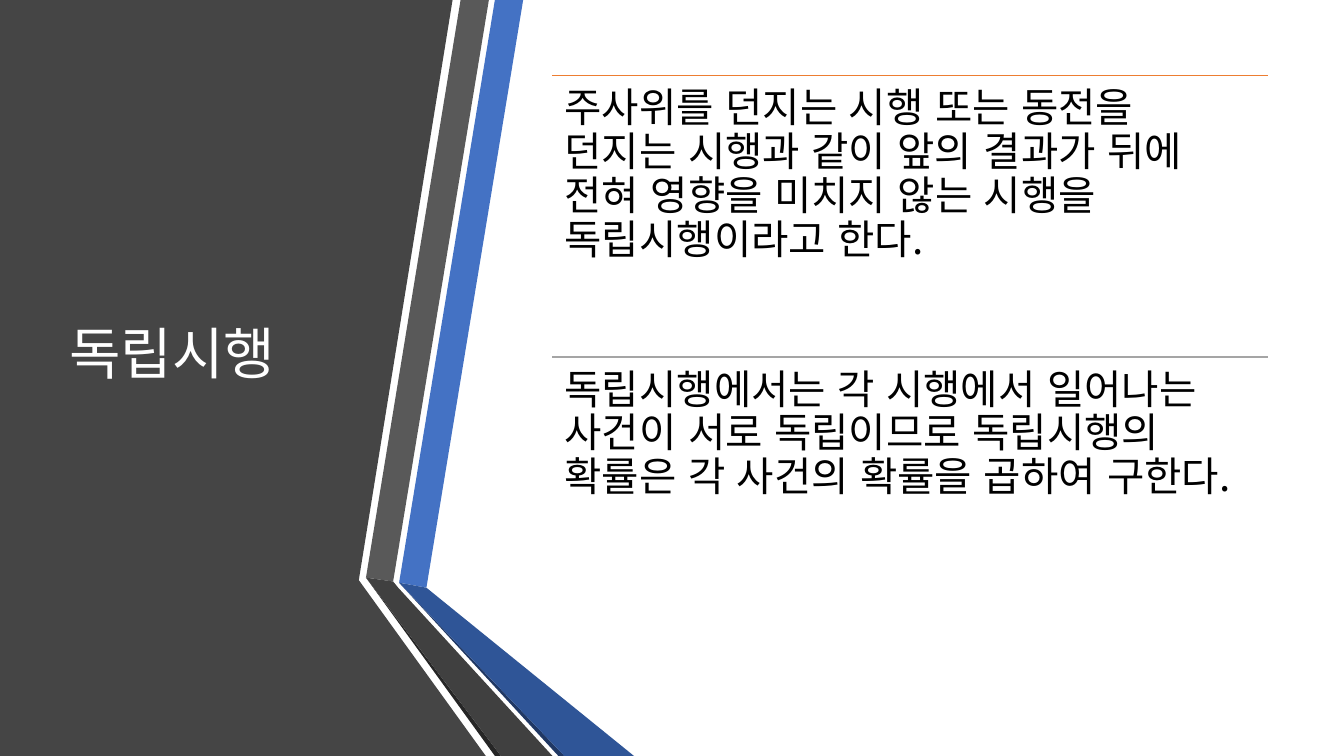
import pptx
import pptx.dml.color
import pptx.enum.lang
import pptx.enum.shapes
import pptx.enum.text
import pptx.oxml
import pptx.oxml.ns
import pptx.util
from lxml import etree

Pt = pptx.util.Pt
RGBColor = pptx.dml.color.RGBColor
ALIGN = pptx.enum.text.PP_ALIGN
ANCHOR = pptx.enum.text.MSO_ANCHOR
qn = pptx.oxml.ns.qn

FONT = "Noto Sans CJK KR"
WHITE = RGBColor(0xFF, 0xFF, 0xFF)
BLACK = RGBColor(0x00, 0x00, 0x00)
PANEL = RGBColor(0x45, 0x45, 0x45)
BLUE = RGBColor(0x44, 0x72, 0xC4)
DEEP_BLUE = RGBColor(0x2F, 0x55, 0x97)
NAVY = RGBColor(0x20, 0x38, 0x64)
GREY = RGBColor(0x59, 0x59, 0x59)
DARK_GREY = RGBColor(0x40, 0x40, 0x40)
CHARCOAL = RGBColor(0x26, 0x26, 0x26)
ORANGE = RGBColor(0xED, 0x7D, 0x31)
SILVER = RGBColor(0xA5, 0xA5, 0xA5)

WIDTH, HEIGHT = 960, 540
TITLE = "독립시행"
STATEMENTS = [
    ("주사위를 던지는 시행 또는 동전을 던지는 시행과 같이 앞의 결과가 뒤에 "
     "전혀 영향을 미치지 않는 시행을 독립시행이라고 한다.", ORANGE),
    ("독립시행에서는 각 시행에서 일어나는 사건이 서로 독립이므로 독립시행의 "
     "확률은 각 사건의 확률을 곱하여 구한다.", SILVER),
]

# Corners where the folded ribbons bend
GREY_BEND = (261.4, 412.6)
GREY_INNER = (280.8, 415.4)
BLUE_BEND = (285.1, 416.2)
BLUE_INNER = (304.6, 419.8)


def set_text(tf, text, size, color):
    tf.word_wrap = True
    tf.auto_size = pptx.enum.text.MSO_AUTO_SIZE.NONE
    p = tf.paragraphs[0]
    p.text = text
    p.alignment = ALIGN.LEFT
    p.line_spacing = 0.9
    p.font.size = Pt(size)
    p.font.color.rgb = color
    p.font.name = FONT
    p.font.language_id = pptx.enum.lang.MSO_LANGUAGE_ID.KOREAN
    # East Asian typeface and kerning for the Korean text
    props = p._p.pPr.find(qn("a:defRPr"))
    props.set("kern", "1200")
    etree.SubElement(props, qn("a:ea")).set("typeface", FONT)


def add_polygon(s, left, top, points, color):
    pts = [(Pt(left + x), Pt(top + y)) for x, y in points]
    builder = s.shapes.build_freeform(*pts[0])
    builder.add_line_segments(pts[1:], close=True)
    sp = builder.convert_to_shape()
    sp.shadow.inherit = False
    sp.fill.solid()
    sp.fill.fore_color.rgb = color
    sp.line.fill.background()


def add_ribbons(s, left, top, height):
    """Dark panel and the two folded ribbons along its edge."""
    polygons = [
        # Panel
        ([(0, 0), (323.3, 0), (256.3, 414.4), (347, height), (0, height)], PANEL),
        # Upper ribbons
        ([BLUE_BEND, BLUE_INNER, (373.7, 0), (353.5, 0)], BLUE),
        ([GREY_BEND, GREY_INNER, (349.2, 0), (329, 0)], GREY),
        # Shaded edges
        ([GREY_BEND, (353.5, height), (357.8, height)], CHARCOAL),
        ([BLUE_BEND, (398.9, height), (403.2, height)], NAVY),
        # Lower ribbons
        ([BLUE_BEND, (403.2, height), (452.9, height), BLUE_INNER], DEEP_BLUE),
        ([GREY_BEND, (357.8, height), (394.6, height), (284.4, 419.8),
          GREY_INNER], DARK_GREY),
    ]
    for points, color in polygons:
        add_polygon(s, left, top, points, color)


def add_title(s, left, top, width, height):
    sp = s.shapes.title
    sp.left, sp.top, sp.width, sp.height = map(Pt, (left, top, width, height))
    set_text(sp.text_frame, TITLE, 40, WHITE)
    sp.text_frame.vertical_anchor = ANCHOR.MIDDLE
    # Bring the title in front of the panel
    sp.element.getparent().append(sp.element)


def add_statements(s, left, top, width, height):
    """Equal rows, each with a rule on top and a text below it."""
    row = height / len(STATEMENTS)
    for i, (text, color) in enumerate(STATEMENTS):
        y = top + i * row
        rule = s.shapes.add_connector(
            pptx.enum.shapes.MSO_CONNECTOR.STRAIGHT,
            Pt(left), Pt(y), Pt(left + width), Pt(y))
        rule.line.width = Pt(1)
        rule.line.fill.solid()
        rule.line.fill.fore_color.rgb = color
        etree.SubElement(rule.element.spPr, qn("a:effectLst"))
        # Drop the theme style so only the set colour applies
        rule.element.remove(rule.element.find(qn("p:style")))

        tf = s.shapes.add_textbox(Pt(left), Pt(y), Pt(width), Pt(row)).text_frame
        tf.margin_left = tf.margin_top = tf.margin_bottom = Pt(8.7)
        # Wider right margin keeps the line breaks
        tf.margin_right = Pt(20)
        set_text(tf, text, 29, BLACK)


def main():
    prs = pptx.Presentation()
    prs.slide_width, prs.slide_height = Pt(WIDTH), Pt(HEIGHT)
    s = prs.slides.add_slide(prs.slide_layouts[5])
    add_ribbons(s, 0, 0, HEIGHT)
    add_title(s, 42.5, 54, 218.9, 401.8)
    add_statements(s, 394.6, 54, 511.2, 401.8)
    prs.save("out.pptx")


if __name__ == "__main__":
    main()
